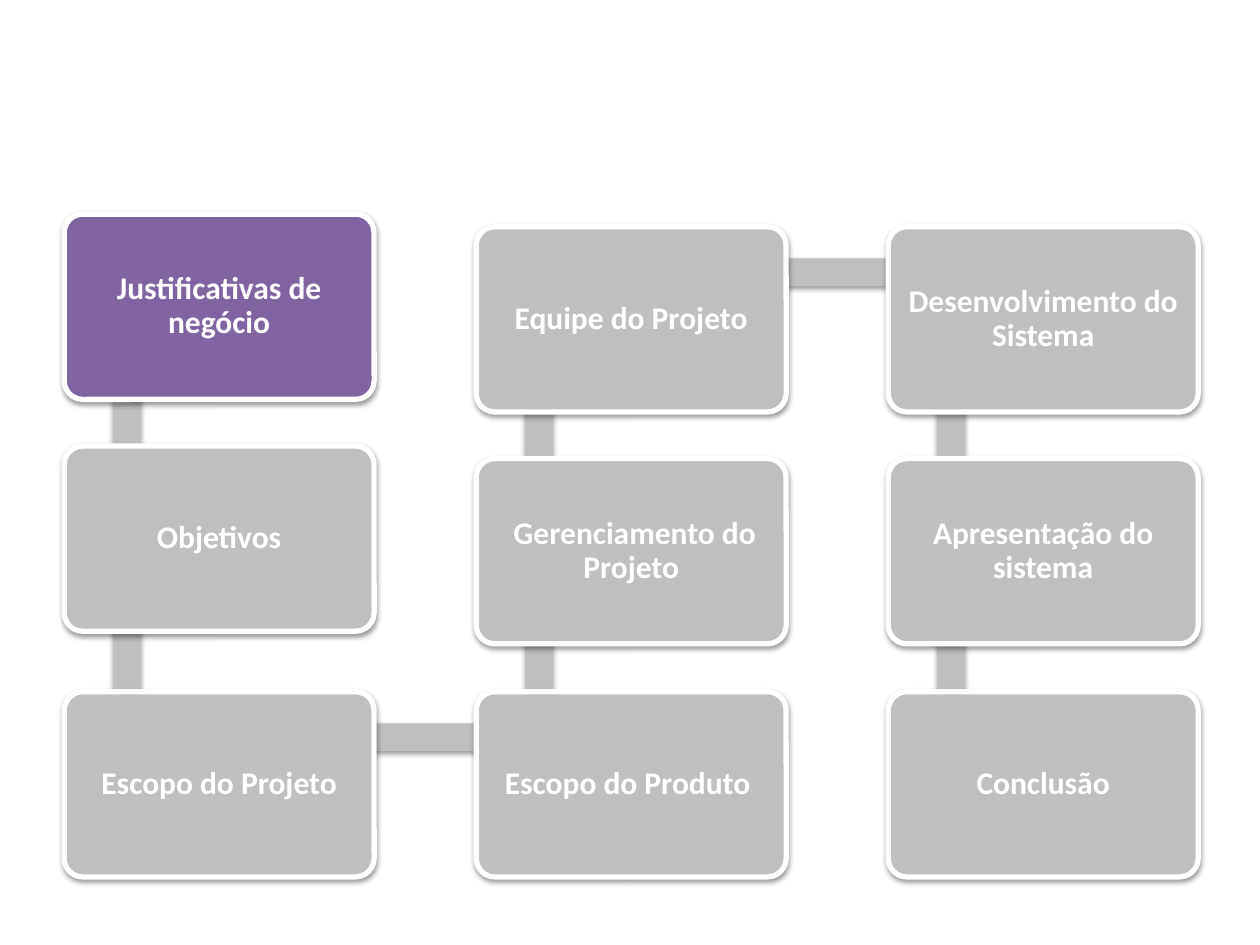
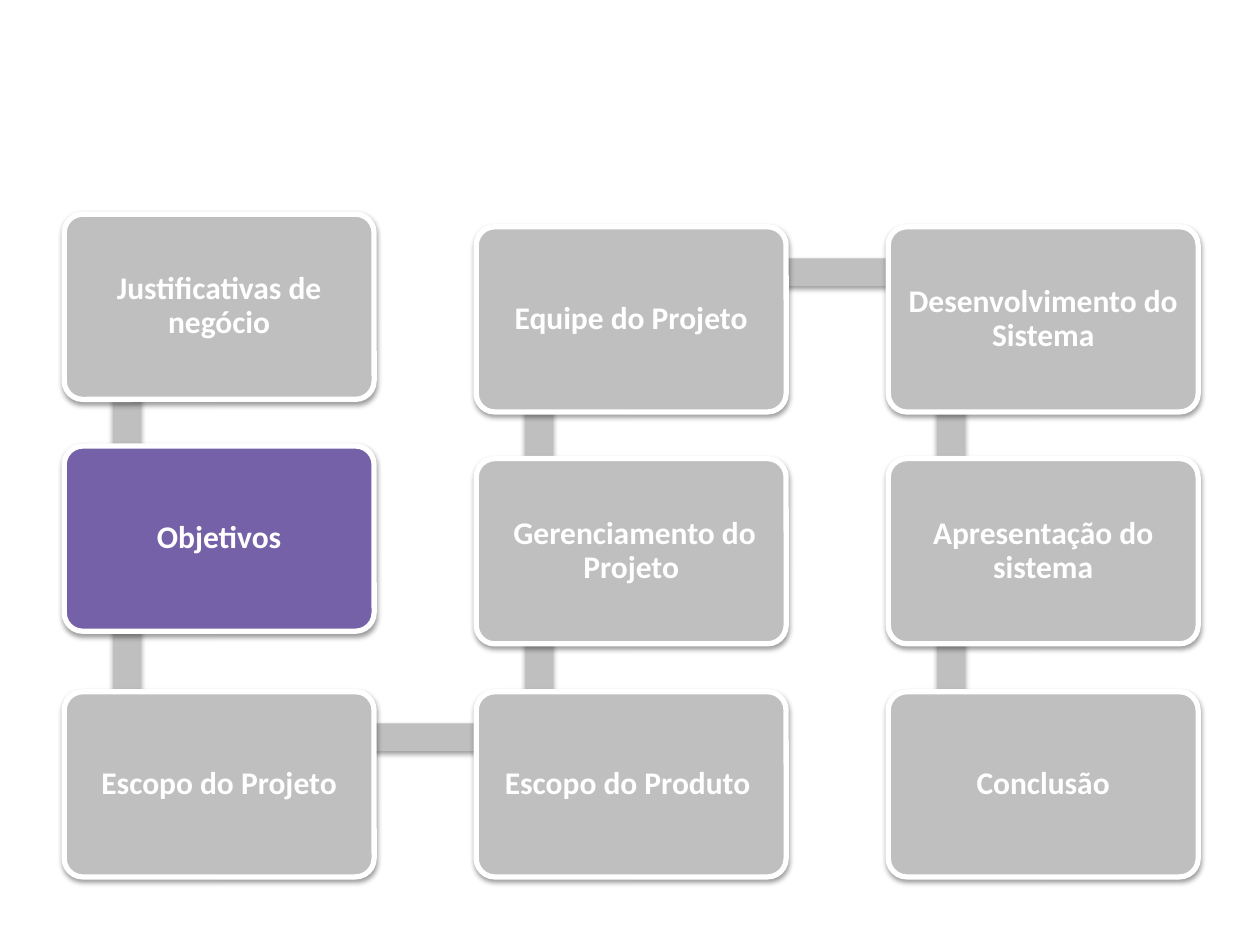
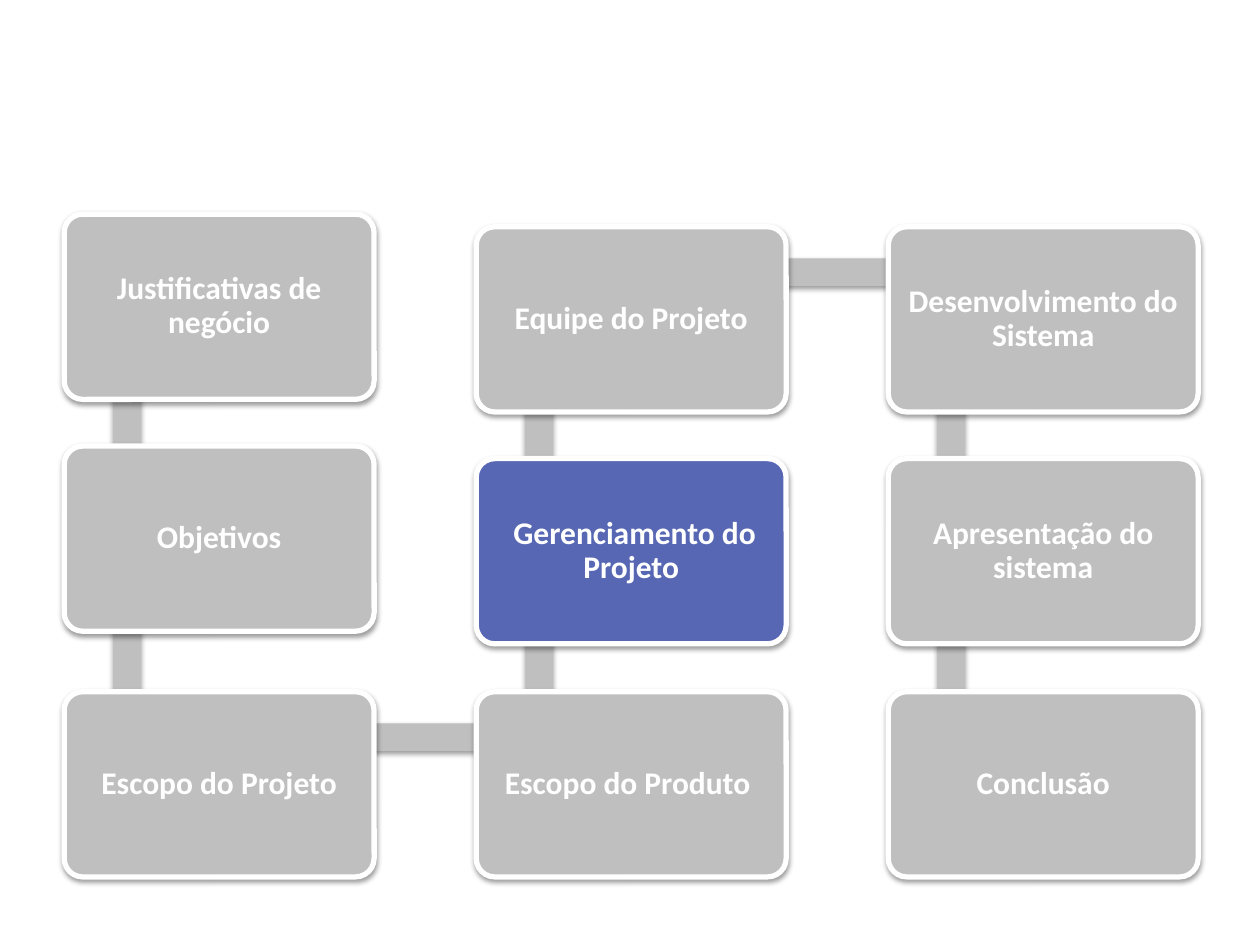
from lxml import etree
from pptx import Presentation
from pptx import util as u
from pptx.dml.color import RGBColor
from pptx.enum import shapes, text
from pptx.oxml.ns import qn

HUES = {"idle": "BFBFBF", "paper": "FFFFFF", "shade": "000000",
        "reason": "8064A2", "goals": "7561A7", "manage": "5767B4"}
FONT = "Calibri"
BOX_W, BOX_H = 2.46, 1.47
PITCH = 3.27
BAR = 0.22
EDGE_ROWS = (0, 1.84, 3.79)
ROWS = (0.1, 1.94, 3.79)
STEPS = [
    ("Justificativas de negócio", 0, EDGE_ROWS[0]),
    ("Objetivos", 0, EDGE_ROWS[1]),
    ("Escopo do Projeto", 0, EDGE_ROWS[2]),
    ("Escopo do Produto ", 1, ROWS[2]),
    (" Gerenciamento do Projeto", 1, ROWS[1]),
    ("Equipe do Projeto", 1, ROWS[0]),
    ("Desenvolvimento do Sistema", 2, ROWS[0]),
    ("Apresentação do sistema", 2, ROWS[1]),
    ("Conclusão", 2, ROWS[2]),
]
ACTIVE = [(0, "reason"), (1, "goals"), (4, "manage")]


def tint(name):
    """Return the named colour."""
    return RGBColor.from_string(HUES[name])


def shade(shape):
    """Give a shape a soft shadow straight below it."""
    shape.shadow.inherit = False
    effects = shape._element.spPr.find(qn("a:effectLst"))
    outer = etree.SubElement(effects, qn("a:outerShdw"), blurRad="40000",
                             dist="20000", dir="5400000", rotWithShape="0")
    color = etree.SubElement(outer, qn("a:srgbClr"), val=HUES["shade"])
    etree.SubElement(color, qn("a:alpha"), val="38000")


def block(slide, kind, box, hue):
    """Add a filled, shadowed shape in a box given in inches."""
    shape = slide.shapes.add_shape(kind, *map(u.Inches, box))
    shape.fill.solid()
    shape.fill.fore_color.rgb = tint(hue)
    shape.line.fill.background()
    shade(shape)
    return shape


def link(slide, start, end):
    """Add the bar that joins the corners of two neighbouring steps."""
    (x, y), (next_x, next_y) = start, end
    if x == next_x:
        box = x + 0.39, min(y, next_y) + 0.36, BAR, abs(next_y - y)
    else:
        box = x + 0.51, y + 0.25, next_x - x, BAR
    block(slide, shapes.MSO_SHAPE.RECTANGLE, box, "idle")


def step(slide, spot, label, hue):
    """Add one labelled step with its top left corner at the spot."""
    shape = block(slide, shapes.MSO_SHAPE.ROUNDED_RECTANGLE,
                  (*spot, BOX_W, BOX_H), hue)
    shape.adjustments[0] = 0.1
    shape.line.color.rgb = tint("paper")
    shape.line.width = u.Pt(3)
    frame = shape.text_frame
    frame.word_wrap = True
    frame.vertical_anchor = text.MSO_ANCHOR.MIDDLE
    frame.margin_left = frame.margin_right = u.Inches(0.11)
    frame.margin_top = frame.margin_bottom = u.Inches(0.11)
    frame.text = label
    line = frame.paragraphs[0]
    line.alignment = text.PP_ALIGN.CENTER
    line.line_spacing = 0.9
    font = line.runs[0].font
    font.name, font.size, font.bold = FONT, u.Pt(18), True
    font.color.rgb = tint("paper")


def route(slide, left, top, active, hue):
    """Draw the winding route of steps with one step lit."""
    spots = [(left + col * PITCH, top + drop) for _, col, drop in STEPS]
    for index, (label, _, _) in enumerate(STEPS):
        if index + 1 < len(spots):
            link(slide, spots[index], spots[index + 1])
        step(slide, spots[index], label, hue if index == active else "idle")


def main():
    """Build one agenda slide for each lit step."""
    deck = Presentation()
    deck.slide_width, deck.slide_height = u.Inches(10), u.Inches(7.5)
    for active, hue in ACTIVE:
        slide = deck.slides.add_slide(deck.slide_layouts[6])
        route(slide, 0.51, 1.7, active, hue)
    deck.save("out.pptx")


if __name__ == "__main__":
    main()
